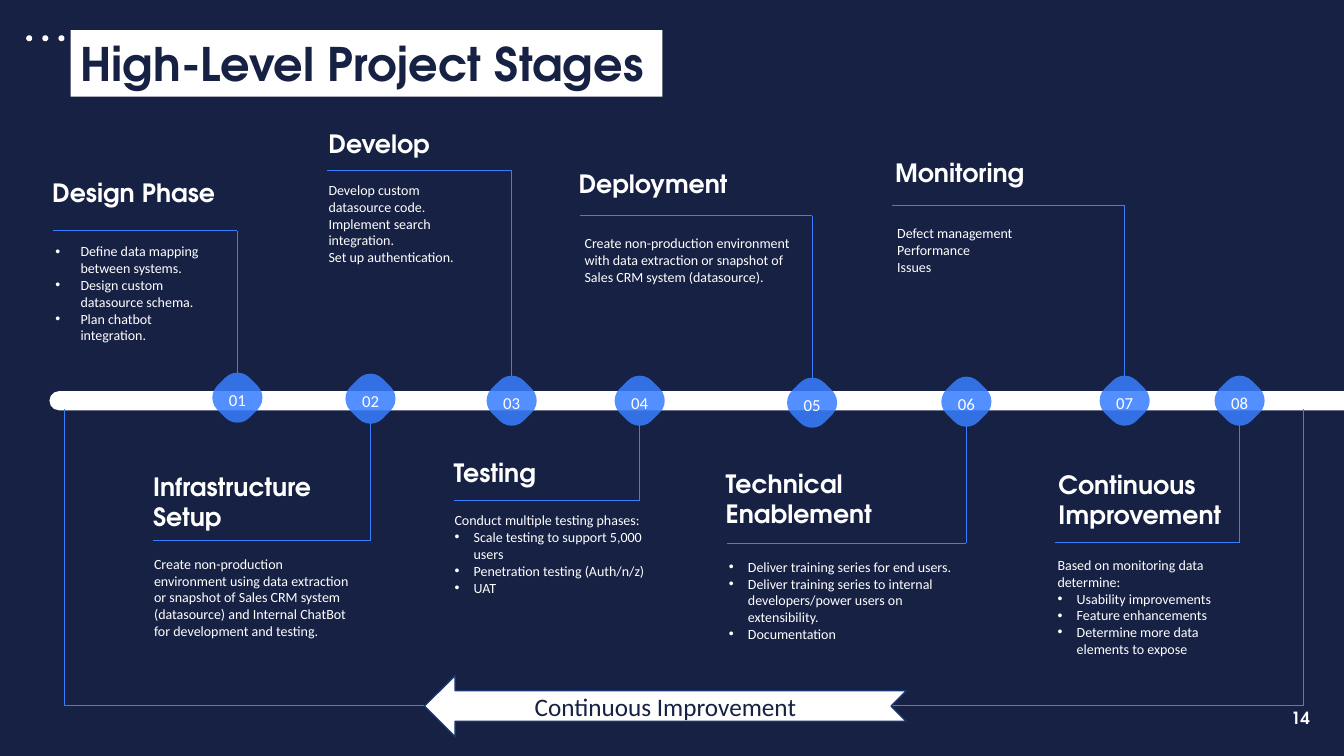
from lxml.etree import SubElement
from pptx import Presentation
from pptx.dml.color import RGBColor
from pptx.enum.shapes import MSO_CONNECTOR, MSO_SHAPE
from pptx.enum.text import MSO_ANCHOR, MSO_AUTO_SIZE, PP_ALIGN
from pptx.oxml.ns import qn
from pptx.util import Inches, Pt

NAVY = RGBColor(0x17, 0x21, 0x44)
BLUE = RGBColor(0x37, 0x7D, 0xFF)
ARROW_EDGE = RGBColor(0x18, 0x37, 0x70)
WHITE = RGBColor(0xFF, 0xFF, 0xFF)
HEADING_FONT = "TeX Gyre Adventor"
BODY_FONT = "Calibri"
TILE = 0.45

# tile left and top, elbow left and y, title box, title lines,
# body box, plain lines, bulleted lines, bullet indent
STAGES = [
    ((2.13, 3.72), (0.53, 2.29), (0.42, 1.71, 1.83, 0.4), ["Design Phase"],
     (0.45, 2.36, 1.72, 1.11), [],
     ["Define data mapping between systems.", "Design custom datasource schema.",
      "Plan chatbot integration."], 0.25),
    ((3.45, 3.73), (1.52, 5.36), (1.42, 4.62, 1.86, 0.71), ["Infrastructure", "Setup"],
     (1.43, 5.46, 2.2, 0.94),
     ["Create non-production environment using data extraction or snapshot of Sales CRM "
      "system (datasource) and Internal ChatBot for development and testing."], [], 0),
    ((4.85, 3.75), (3.24, 1.69), (3.16, 1.24, 1.23, 0.36), ["Develop"],
     (3.16, 1.75, 1.72, 1.11),
     ["Develop custom datasource code.", "Implement search integration.",
      "Set up authentication."], [], 0),
    ((6.12, 3.75), (4.5, 4.96), (4.4, 4.49, 1.03, 0.4), ["Testing"],
     (4.41, 5.03, 2.26, 0.94), ["Conduct multiple testing phases:"],
     ["Scale testing to support 5,000 users", "Penetration testing (Auth/n/z)", "UAT"], 0.19),
    ((7.83, 3.77), (5.75, 2.14), (5.64, 1.62, 1.7, 0.4), ["Deployment"],
     (5.7, 2.28, 2.3, 0.61),
     ["Create non-production environment with data extraction or snapshot of Sales CRM "
      "system (datasource)."], [], 0),
    ((9.36, 3.76), (7.21, 5.39), (7.1, 4.59, 1.9, 0.71), ["Technical", "Enablement"],
     (7.13, 5.49, 2.47, 0.94), [],
     ["Deliver training series for end users.",
      "Deliver training series to internal developers/power users on extensibility.",
      "Documentation"], 0.19),
    ((10.93, 3.75), (8.85, 2.04), (8.78, 1.51, 1.5, 0.4), ["Monitoring"],
     (8.8, 2.18, 2.22, 0.77), ["Defect management", "Performance", "Issues"], [], 0),
    ((12.07, 3.75), (10.46, 5.38), (10.4, 4.6, 1.84, 0.71), ["Continuous", "Improvement"],
     (10.39, 5.47, 1.91, 1.11), ["Based on monitoring data determine:"],
     ["Usability improvements", "Feature enhancements",
      "Determine more data elements to expose"], 0.19),
]

deck = Presentation()
deck.slide_width, deck.slide_height = Inches(13.33), Inches(7.5)
page = deck.slides.add_slide(deck.slide_layouts[6])
page.background.fill.solid()
page.background.fill.fore_color.rgb = NAVY


def add_filled(kind, bounds, color):
    shape = page.shapes.add_shape(kind, *map(Inches, bounds))
    shape.shadow.inherit = False
    shape.fill.solid()
    shape.fill.fore_color.rgb = color
    shape.line.fill.background()
    return shape


def write(shape, lines, font, size, color=WHITE, align=PP_ALIGN.LEFT,
          anchor=MSO_ANCHOR.TOP, wrap=False):
    """Fill a shape with one paragraph per line; headings are bold."""
    frame = shape.text_frame
    frame.text = "\n".join(lines)
    frame.word_wrap = wrap
    frame.auto_size = MSO_AUTO_SIZE.NONE
    frame.vertical_anchor = anchor
    for para in frame.paragraphs:
        para.alignment = align
        for span in para.runs:
            span.font.name = font
            span.font.size = Pt(size)
            span.font.bold = font == HEADING_FONT
            span.font.color.rgb = color
    return frame


for dot_left in (0.26, 0.42, 0.58):
    add_filled(MSO_SHAPE.OVAL, (dot_left, 0.35, 0.06, 0.06), WHITE)

timeline = add_filled(MSO_SHAPE.ROUND_2_SAME_RECTANGLE, (6.82, -2.45, 0.19, 12.85), WHITE)
timeline.rotation = 270
timeline.adjustments[0] = 0.5

# Feedback loop below the timeline
lines = [(12.93, 7, 0.64, 7), (12.93, 4.06, 12.93, 7), (0.64, 4.06, 0.64, 7)]

for number, stage in enumerate(STAGES, 1):
    (left, top), (elbow_left, elbow_y), title_at, title, body_at, plain, bullets, indent = stage

    tile = add_filled(MSO_SHAPE.ROUNDED_RECTANGLE, (left, top, TILE, TILE), BLUE)
    tile.rotation = 315
    tile.adjustments[0] = 0.374
    tile_color = tile._element.spPr.find(".//" + qn("a:srgbClr"))
    SubElement(tile_color, qn("a:alpha"), val="86000")
    box = page.shapes.add_textbox(*map(Inches, (left + 0.04, top + 0.1, 0.37, 0.3)))
    write(box, [f"{number:02}"], BODY_FONT, 12, align=PP_ALIGN.CENTER)

    stem_x = left + TILE / 2
    stem_y = top - 0.02 if elbow_y < top else top + TILE + 0.02
    lines += [(stem_x, stem_y, stem_x, elbow_y), (stem_x, elbow_y, elbow_left, elbow_y)]

    box = page.shapes.add_textbox(*map(Inches, title_at))
    write(box, title, HEADING_FONT, 18, anchor=MSO_ANCHOR.MIDDLE)

    box = page.shapes.add_textbox(*map(Inches, body_at))
    frame = write(box, plain + bullets, BODY_FONT, 10, wrap=True)
    for para in frame.paragraphs[len(plain):]:
        props = para._p.get_or_add_pPr()
        props.set("marL", str(Inches(indent)))
        props.set("indent", str(-Inches(indent)))
        SubElement(props, qn("a:buFont"), typeface="Arial")
        SubElement(props, qn("a:buChar"), char="•")

for ends in lines:
    line = page.shapes.add_connector(MSO_CONNECTOR.STRAIGHT, *map(Inches, ends))
    line.line.color.rgb = BLUE
    line.line.width = Pt(0.5)
    SubElement(line._element.spPr, qn("a:effectLst"))

arrow = add_filled(MSO_SHAPE.NOTCHED_RIGHT_ARROW, (4.21, 6.7, 4.78, 0.61), WHITE)
arrow._element.spPr.find(qn("a:xfrm")).set("flipH", "1")
arrow.line.color.rgb = ARROW_EDGE
arrow.line.width = Pt(1)
write(arrow, ["Continuous Improvement"], BODY_FONT, 18, NAVY, PP_ALIGN.CENTER,
      MSO_ANCHOR.MIDDLE, wrap=True)

banner = add_filled(MSO_SHAPE.RECTANGLE, (0.7, 0.3, 5.87, 0.66), WHITE)
write(banner, ["High-Level Project Stages"], HEADING_FONT, 33, NAVY)

page_number = page.shapes.add_textbox(*map(Inches, (12.81, 6.96, 0.18, 0.32)))
write(page_number, ["14"], HEADING_FONT, 12, align=PP_ALIGN.CENTER, anchor=MSO_ANCHOR.MIDDLE)

deck.save("out.pptx")
